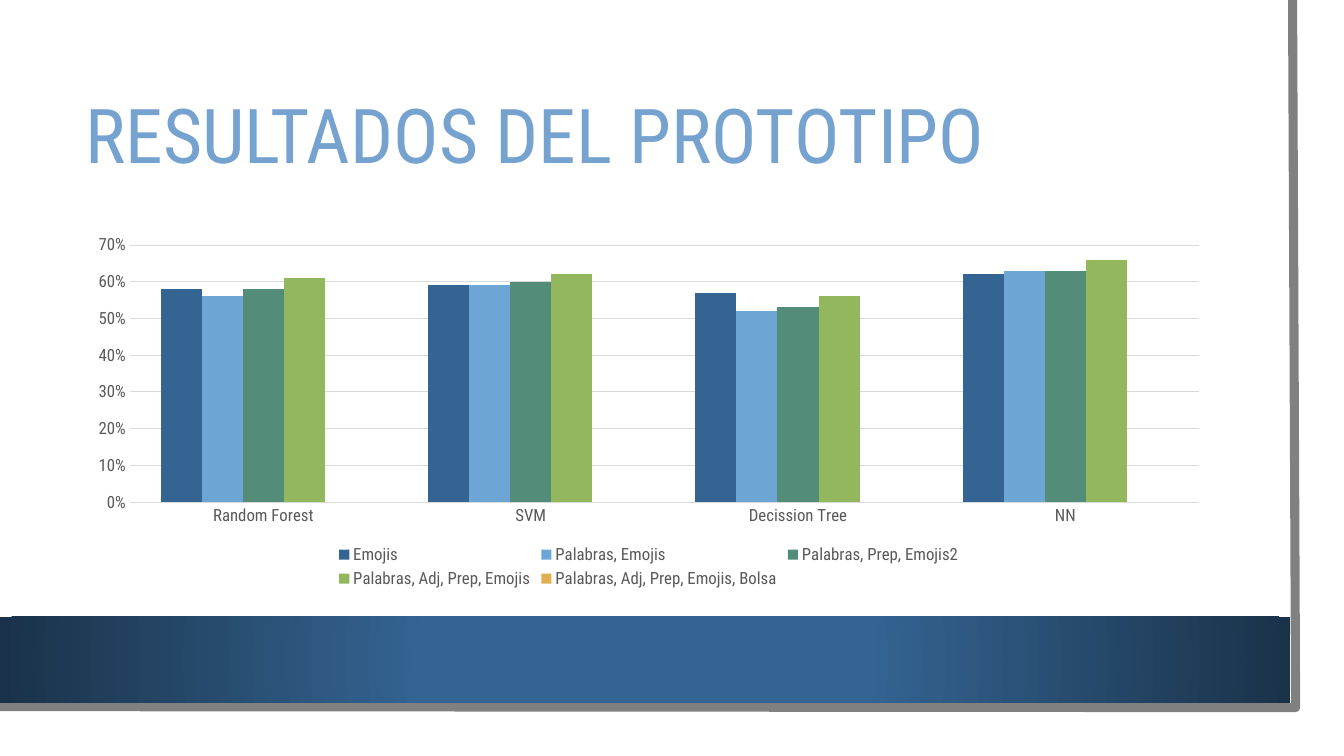
from dataclasses import dataclass

from lxml.etree import SubElement
from pptx import Presentation
from pptx.chart.data import CategoryChartData
from pptx.dml.color import RGBColor
from pptx.enum.chart import XL_CHART_TYPE, XL_LEGEND_POSITION, XL_TICK_MARK
from pptx.enum.shapes import MSO_SHAPE
from pptx.enum.text import MSO_ANCHOR, PP_ALIGN
from pptx.oxml.ns import qn
from pptx.util import Inches, Pt


@dataclass(frozen=True)
class Theme:
    font: str = "Roboto Condensed"
    title_size: int = 54
    chart_size: int = 12
    paper: str = "FFFFFF"
    title: str = "75A2CE"
    chart_text: str = "595959"
    grid: str = "D9D9D9"
    edge: str = "808080"
    band_center: str = "346492"
    band_rim: str = "1A3249"


THEME = Theme()

MODELS = ["Random Forest", "SVM", "Decission Tree", "NN"]
FEATURE_SETS = [
    ("Emojis", "346492", (0.58, 0.59, 0.57, 0.62)),
    ("Palabras, Emojis", "6DA5D4", (0.56, 0.59, 0.52, 0.63)),
    ("Palabras, Prep, Emojis2", "538C79", (0.58, 0.60, 0.53, 0.63)),
    ("Palabras, Adj, Prep, Emojis", "93B75D", (0.61, 0.62, 0.56, 0.66)),
    ("Palabras, Adj, Prep, Emojis, Bolsa", "DEB050", (None,) * 4),
]


def rgb(value):
    return RGBColor.from_string(value)


def style_font(font, size, color):
    font.name = THEME.font
    font.size = Pt(size)
    font.color.rgb = rgb(color)


def add_panel(slide, left, top, width, height, color):
    panel = slide.shapes.add_shape(
        MSO_SHAPE.RECTANGLE, Inches(left), Inches(top), Inches(width), Inches(height))
    panel.shadow.inherit = False
    panel.fill.solid()
    panel.fill.fore_color.rgb = rgb(color)
    panel.line.fill.background()
    return panel


def add_edge(slide, points):
    start, *rest = [(Inches(x), Inches(y)) for x, y in points]
    builder = slide.shapes.build_freeform(*start)
    builder.add_line_segments(rest, close=False)
    edge = builder.convert_to_shape()
    edge.shadow.inherit = False
    edge.fill.background()
    edge.line.color.rgb = rgb(THEME.edge)
    edge.line.width = Pt(6.5)


def set_radial_gradient(shape, stops):
    shape.fill.gradient()
    gradient = shape.fill._xPr.find(qn("a:gradFill"))
    for child in list(gradient):
        gradient.remove(child)
    stop_list = SubElement(gradient, qn("a:gsLst"))
    for percent, color in stops:
        stop = SubElement(stop_list, qn("a:gs"), pos=str(percent * 1000))
        SubElement(stop, qn("a:srgbClr"), val=color)
    circle = SubElement(gradient, qn("a:path"), path="circle")
    SubElement(circle, qn("a:fillToRect"), {side: "50000" for side in "ltrb"})


def add_title(slide, text, left, top, width, height):
    title = slide.shapes.add_textbox(
        Inches(left), Inches(top), Inches(width), Inches(height))
    frame = title.text_frame
    frame.word_wrap = True
    frame.vertical_anchor = MSO_ANCHOR.MIDDLE
    paragraph = frame.paragraphs[0]
    paragraph.alignment = PP_ALIGN.LEFT
    paragraph.line_spacing = 0.9
    run = paragraph.add_run()
    run.text = text
    style_font(run.font, THEME.title_size, THEME.title)


def style_axis(axis):
    axis.major_tick_mark = XL_TICK_MARK.NONE
    axis.minor_tick_mark = XL_TICK_MARK.NONE
    axis.format.line.fill.background()
    style_font(axis.tick_labels.font, THEME.chart_size, THEME.chart_text)


def add_results_chart(slide, left, top, width, height):
    data = CategoryChartData(number_format="0%")
    data.categories = MODELS
    for name, _, scores in FEATURE_SETS:
        data.add_series(name, scores)
    chart = slide.shapes.add_chart(
        XL_CHART_TYPE.COLUMN_CLUSTERED, Inches(left), Inches(top),
        Inches(width), Inches(height), data).chart
    chart.has_title = False
    style_font(chart.font, THEME.chart_size, THEME.chart_text)

    # Columns
    plot = chart.plots[0]
    plot.vary_by_categories = False
    plot.gap_width = 150
    plot.overlap = 0
    for series, (_, color, _) in zip(plot.series, FEATURE_SETS):
        series.format.fill.solid()
        series.format.fill.fore_color.rgb = rgb(color)

    # Axes and gridlines
    style_axis(chart.category_axis)
    scale = chart.value_axis
    style_axis(scale)
    scale.minimum_scale, scale.maximum_scale, scale.major_unit = 0, 0.7, 0.1
    scale.tick_labels.number_format = "0%"
    scale.tick_labels.number_format_is_linked = False
    scale.has_major_gridlines = True
    scale.major_gridlines.format.line.color.rgb = rgb(THEME.grid)
    scale.major_gridlines.format.line.width = Pt(0.75)

    # Legend
    chart.has_legend = True
    chart.legend.position = XL_LEGEND_POSITION.BOTTOM
    chart.legend.include_in_layout = False
    style_font(chart.legend.font, THEME.chart_size, THEME.chart_text)


def main():
    deck = Presentation()
    deck.slide_width, deck.slide_height = Inches(13.33), Inches(7.5)
    slide = deck.slides.add_slide(deck.slide_layouts[6])

    # Paper sheet with grey edge and blue band
    add_panel(slide, 0, 0, 13.1, 7.27, THEME.paper)
    add_edge(slide, [(12.82, 0), (12.85, 7.02), (-0.03, 7.01)])
    band = add_panel(slide, 0, 6.12, 12.8, 0.85, THEME.band_center)
    set_radial_gradient(band, [(34, THEME.band_center), (100, THEME.band_rim)])

    # Title and results
    add_title(slide, "RESULTADOS DEL PROTOTIPO", 0.75, 0.75, 11.37, 1.26)
    add_results_chart(slide, 0.75, 2.26, 11.37, 3.62)

    deck.save("out.pptx")


if __name__ == "__main__":
    main()
